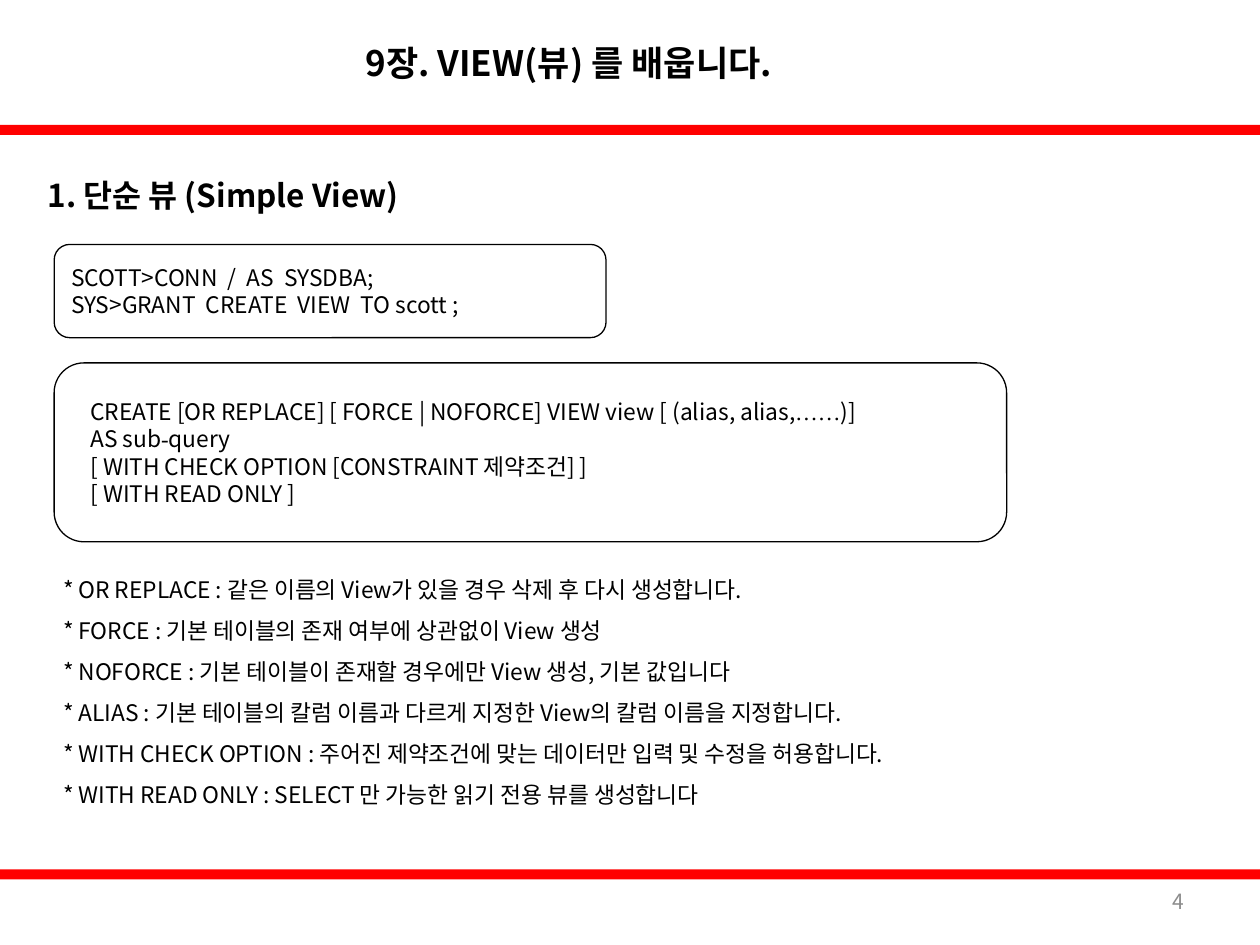
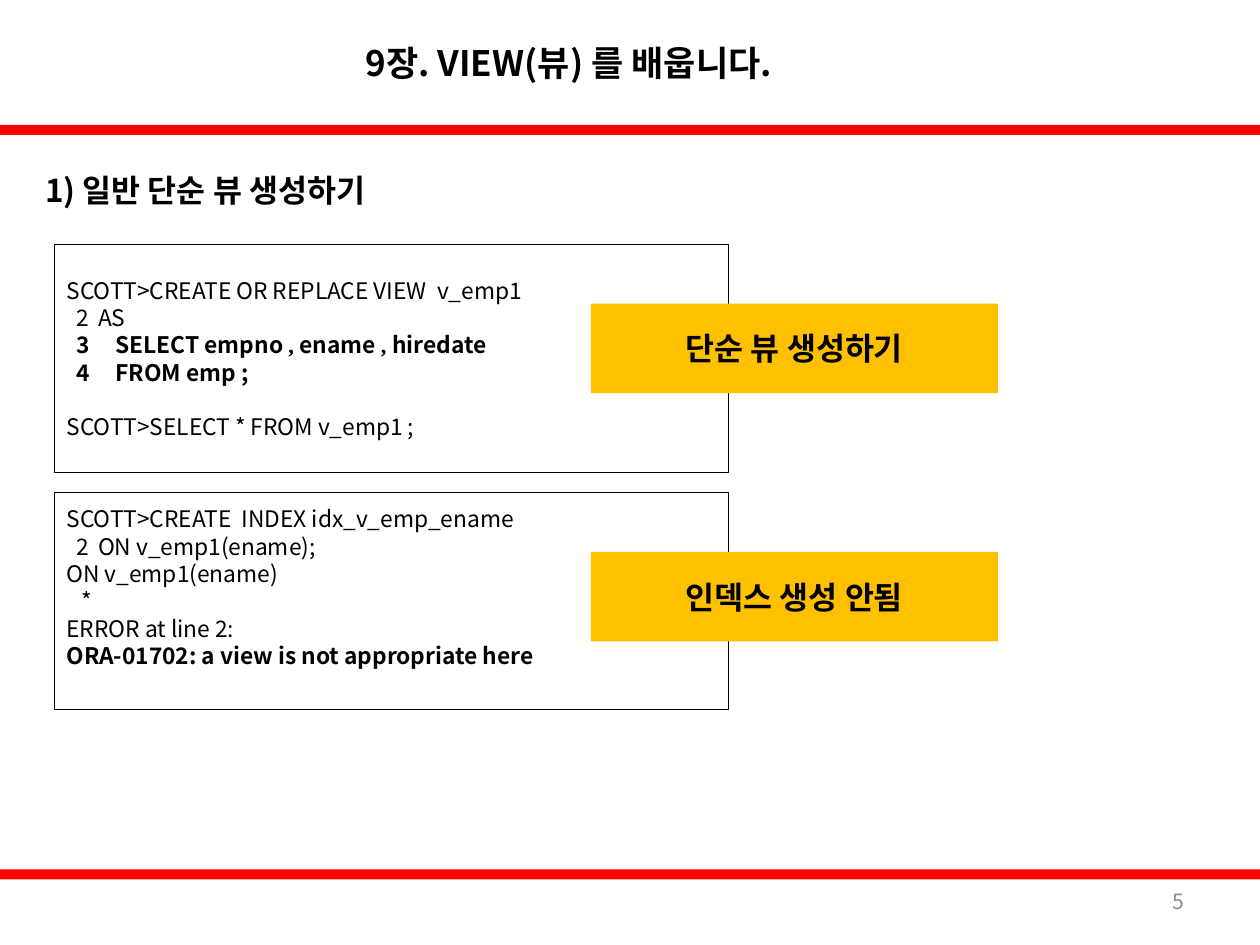
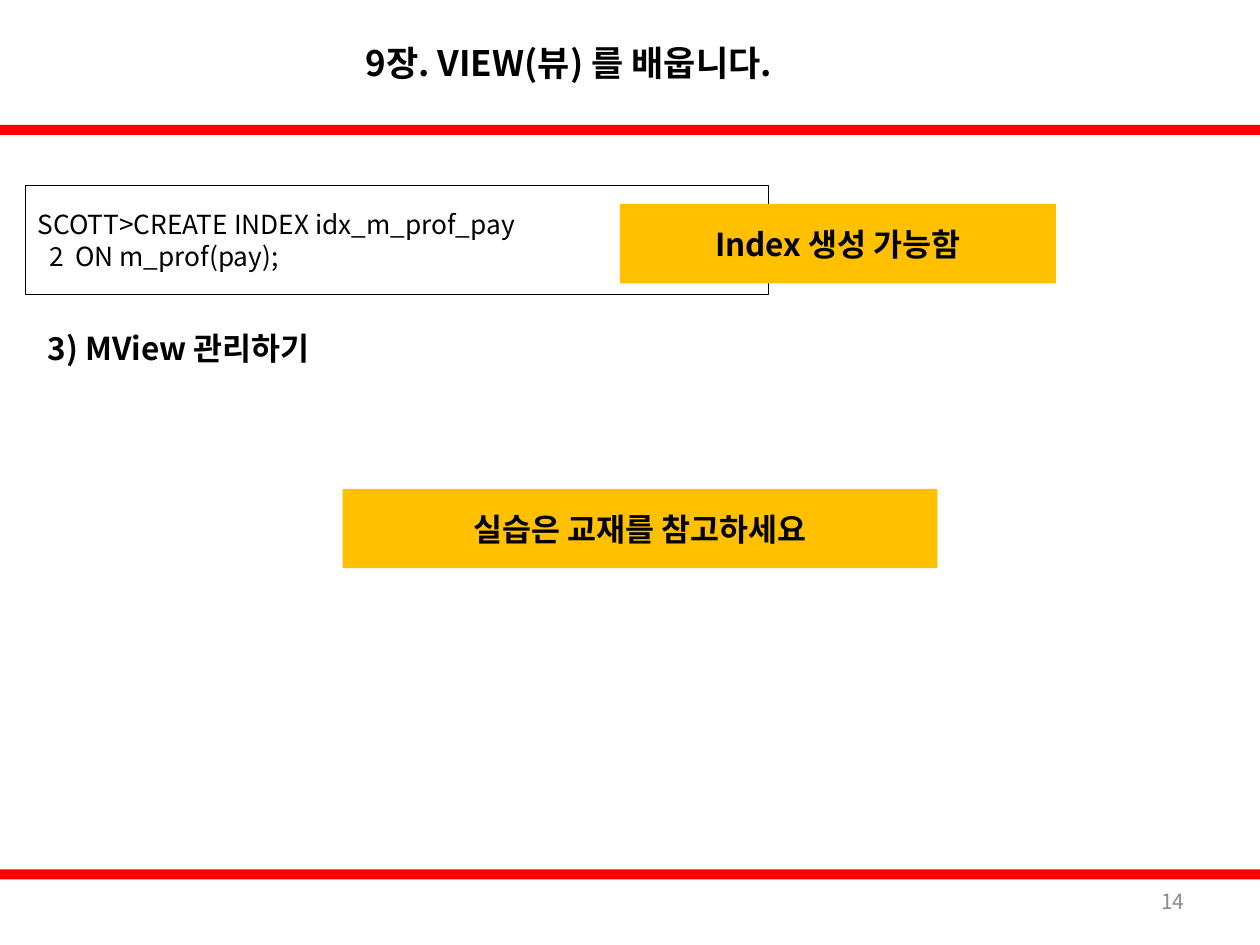
"""Build three lesson slides about database views."""
from dataclasses import dataclass
from typing import NamedTuple

from lxml import etree
from pptx import Presentation
from pptx import util as u
from pptx.dml.color import RGBColor
from pptx.enum import shapes, text
from pptx.oxml import ns

WIDTH, HEIGHT = u.Inches(10), u.Inches(7.5)
COLS, ROWS = 100, 75
SANS, SERIF = "Noto Sans CJK KR", "Times New Roman"
RED, GOLD, BLACK, WHITE, GRAY = "FF0000", "FFC000", "000000", "FFFFFF", "8C8C8C"
TITLE = "9장. VIEW(뷰) 를 배웁니다."
LEFT, CENTER, RIGHT = text.PP_ALIGN.LEFT, text.PP_ALIGN.CENTER, text.PP_ALIGN.RIGHT
RECT, ROUND = shapes.MSO_SHAPE.RECTANGLE, shapes.MSO_SHAPE.ROUNDED_RECTANGLE
TITLE_ONLY, WITH_BODY = 5, 1
LINE_GAP = 15.6


class Area(NamedTuple):
    """Place on the grid, in columns and rows."""
    left: float
    top: float
    width: float
    height: float


class Bit(NamedTuple):
    """Piece of a line with one look."""
    words: str
    bold: bool = False
    face: str = SANS


@dataclass
class Line:
    """Paragraph whose first text starts at pad and whose tab stops at stop, in columns."""
    bits: tuple[Bit, ...]
    pad: float = 0
    stop: float | None = None
    before: float = 0


@dataclass
class Style:
    """Look shared by the lines of one frame."""
    size: float
    color: str = BLACK
    align: text.PP_ALIGN = LEFT
    space: float = 1.0


@dataclass
class Panel:
    """Outlined box of code."""
    area: Area
    lines: list[Line]
    size: float = 13
    kind: shapes.MSO_SHAPE = RECT
    extra: float = 0


@dataclass
class Tag:
    """Gold box with a short remark."""
    area: Area
    words: str


HEAD, CODE, NOTE = Style(18), Style(13), Style(13, space=1.5)
MARK = Style(18, align=CENTER)


def hue(code: str) -> RGBColor:
    """Turn a hex string into a colour."""
    return RGBColor.from_string(code)


def col(count: float) -> int:
    """Length of a number of columns."""
    return round(WIDTH * count / COLS)


def row(count: float) -> int:
    """Length of a number of rows."""
    return round(HEIGHT * count / ROWS)


def spot(area: Area) -> tuple[int, int, int, int]:
    """Turn a grid area into lengths."""
    return col(area.left), row(area.top), col(area.width), row(area.height)


def line(words: str, bold: bool = False, pad: float = 0,
         stop: float | None = None, before: float = 0) -> Line:
    """Make a line of one piece."""
    return Line((Bit(words, bold),), pad, stop, before)


def step(*bits: Bit, wide: bool = False) -> Line:
    """Make a numbered line of code."""
    return Line(bits, 0.8, 3.9 if wide else 2.5)


def write(shape, lines: list[Line], style: Style) -> None:
    """Fill a shape with lines, run by run."""
    frame = shape.text_frame
    frame.word_wrap = True
    frame.auto_size = text.MSO_AUTO_SIZE.NONE
    frame.vertical_anchor = text.MSO_ANCHOR.MIDDLE
    for index, item in enumerate(lines):
        para = frame.add_paragraph() if index else frame.paragraphs[0]
        para.alignment = style.align
        para.line_spacing = style.space
        para.space_before = u.Pt(item.before)
        stop = item.pad if item.stop is None else item.stop
        props = para._p.get_or_add_pPr()
        props.set("marL", str(col(stop)))
        props.set("indent", str(col(item.pad - stop)))
        etree.SubElement(props, ns.qn("a:buNone"))
        for bit in item.bits:
            run = para.add_run()
            run.text = bit.words
            font = run.font
            font.size, font.bold, font.name = u.Pt(style.size), bit.bold, bit.face
            font.color.rgb = hue(style.color)
            east = etree.Element(ns.qn("a:ea"), typeface=bit.face)
            run._r.get_or_add_rPr().find(ns.qn("a:latin")).addnext(east)


def move(shape, area: Area) -> None:
    """Move a shape to a grid area."""
    shape.left, shape.top, shape.width, shape.height = spot(area)


def block(slide, area: Area, fill: str, edge: str | None = None, kind=RECT):
    """Draw a flat box."""
    shape = slide.shapes.add_shape(kind, *spot(area))
    shape.shadow.inherit = False
    shape.fill.solid()
    shape.fill.fore_color.rgb = hue(fill)
    if edge:
        shape.line.color.rgb = hue(edge)
        shape.line.width = u.Pt(0.75)
    else:
        shape.line.fill.background()
    return shape


def label(slide, area: Area, item: Line, style: Style) -> None:
    """Add a text box of one line."""
    write(slide.shapes.add_textbox(*spot(area)), [item], style)


def head(slide, area: Area, words: str) -> None:
    """Add a section heading."""
    label(slide, area, line(words, True), HEAD)


def panel(slide, item: Panel) -> None:
    """Draw a box of code."""
    shape = block(slide, item.area, WHITE, BLACK, item.kind)
    shape.text_frame.margin_bottom += row(item.extra)
    write(shape, item.lines, Style(item.size))


def tag(slide, item: Tag) -> None:
    """Draw a gold remark."""
    write(block(slide, item.area, GOLD), [line(item.words, True)], MARK)


def start(deck, layout: int, number: int):
    """Add a slide with its title, bands and number."""
    slide = deck.slides.add_slide(deck.slide_layouts[layout])
    for top in (9.9, 69):
        block(slide, Area(0, top, COLS, 0.8), RED)
    move(slide.shapes.title, Area(28, 0, 45.7, 9.9))
    write(slide.shapes.title, [line(TITLE, True)], Style(20))
    label(slide, Area(71.7, 69.5, 23.3, 4), line(str(number)), Style(12, GRAY, RIGHT))
    return slide


def syntax(deck) -> None:
    """Build the slide on the syntax of a simple view."""
    slide = start(deck, WITH_BODY, 4)
    head(slide, Area(2.8, 12.3, 51.2, 6.3), "1. 단순 뷰 (Simple View)")
    grant = ["SCOTT>CONN  /  AS  SYSDBA;", "SYS>GRANT  CREATE  VIEW  TO scott ;"]
    panel(slide, Panel(Area(4.3, 19.4, 43.8, 7.4), [line(words) for words in grant], kind=ROUND))
    create = [
        (Bit("CREATE [OR REPLACE] [ FORCE | NOFORCE] VIEW view [ (alias, alias,"),
         Bit("……", face=SERIF), Bit(")]")),
        (Bit("AS sub"), Bit("-", face=SERIF), Bit("query")),
        (Bit("[ WITH CHECK OPTION [CONSTRAINT 제약조건] ]"),),
        (Bit("[ WITH READ ONLY ]"),),
    ]
    panel(slide, Panel(Area(4.3, 28.8, 75.6, 14.2),
                       [Line(bits, 1.2) for bits in create], kind=ROUND))
    notes = [
        "OR REPLACE : 같은 이름의 View가 있을 경우 삭제 후 다시 생성합니다.",
        "FORCE : 기본 테이블의 존재 여부에 상관없이 View 생성",
        "NOFORCE : 기본 테이블이 존재할 경우에만 View 생성, 기본 값입니다",
        "ALIAS : 기본 테이블의 칼럼 이름과 다르게 지정한 View의 칼럼 이름을 지정합니다.",
        "WITH CHECK OPTION : 주어진 제약조건에 맞는 데이터만 입력 및 수정을 허용합니다.",
        "WITH READ ONLY : SELECT 만 가능한 읽기 전용 뷰를 생성합니다",
    ]
    body = slide.placeholders[1]
    move(body, Area(2.8, 43, 89.8, 22.8))
    write(body, [line(f"* {words}", pad=1.2) for words in notes], NOTE)


def simple(deck) -> None:
    """Build the slide on making a simple view."""
    slide = start(deck, TITLE_ONLY, 5)
    head(slide, Area(2.6, 12.3, 52.9, 5.5), "1) 일반 단순 뷰 생성하기")
    comma = Bit(", ", True, SERIF)
    make = [
        line("SCOTT>CREATE OR REPLACE VIEW  v_emp1"),
        step(Bit("2\tAS")),
        step(Bit("3\tSELECT empno ", True), comma, Bit("ename ", True), comma,
             Bit("hiredate", True), wide=True),
        step(Bit("4\tFROM emp ;", True), wide=True),
        line("SCOTT>SELECT * FROM v_emp1 ;", before=LINE_GAP),
    ]
    fail = [
        line("SCOTT>CREATE  INDEX idx_v_emp_ename"),
        step(Bit("2\tON v_emp1(ename);")),
        line("ON v_emp1(ename)"),
        line("*", pad=1.2),
        line("ERROR at line 2:"),
        line("ORA-01702: a view is not appropriate here", True),
    ]
    cases = [
        (19.4, 18.1, make, 0, "단순 뷰 생성하기"),
        (39.1, 17.2, fail, 2.2, "인덱스 생성 안됨"),
    ]
    for top, tall, lines, extra, words in cases:
        panel(slide, Panel(Area(4.3, top, 53.5, tall), lines, extra=extra))
        tag(slide, Tag(Area(46.9, top + 4.7, 32.3, 7.1), words))


def manage(deck) -> None:
    """Build the slide on managing a stored view."""
    slide = start(deck, TITLE_ONLY, 14)
    lines = [line("SCOTT>CREATE INDEX idx_m_prof_pay"),
             line("2\tON m_prof(pay);", pad=0.95, stop=3)]
    panel(slide, Panel(Area(2, 14.7, 59, 8.7), lines, 15))
    head(slide, Area(2.8, 24.1, 33.1, 7.1), "3) MView 관리하기")
    for item in (Tag(Area(49.2, 16.2, 34.6, 6.3), "Index 생성 가능함"),
                 Tag(Area(27.2, 38.8, 47.2, 6.3), "실습은 교재를 참고하세요")):
        tag(slide, item)


def main() -> None:
    """Build and save the deck."""
    deck = Presentation()
    deck.slide_width, deck.slide_height = WIDTH, HEIGHT
    for build in (syntax, simple, manage):
        build(deck)
    deck.save("out.pptx")


if __name__ == "__main__":
    main()
